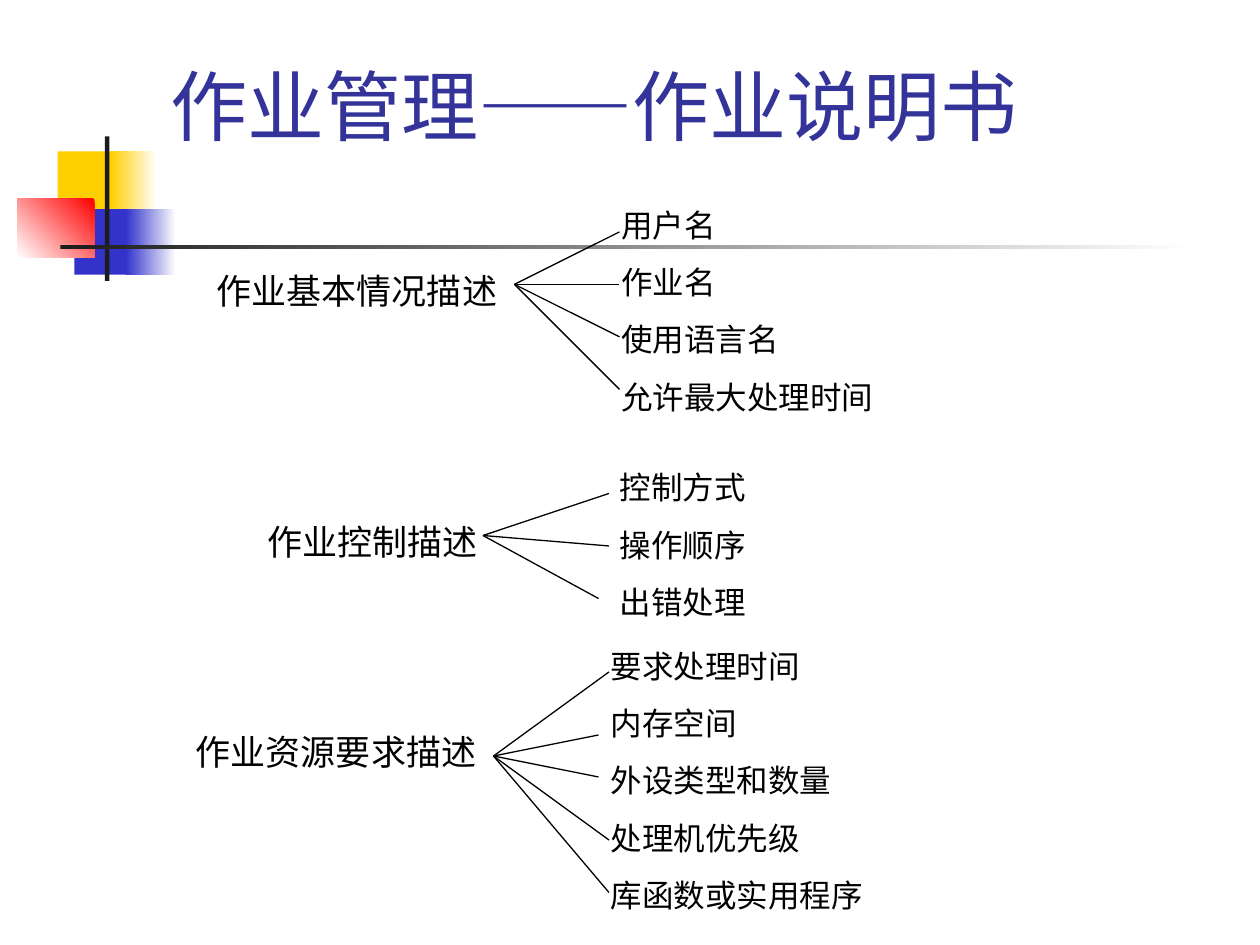
from lxml.etree import SubElement
from pptx import Presentation
from pptx.dml.color import RGBColor
from pptx.enum.shapes import MSO_CONNECTOR, MSO_SHAPE
from pptx.enum.text import MSO_ANCHOR, MSO_AUTO_SIZE, PP_ALIGN
from pptx.oxml.ns import qn
from pptx.util import Pt

BLACK = RGBColor(0x00, 0x00, 0x00)
WHITE = RGBColor(0xFF, 0xFF, 0xFF)
YELLOW = RGBColor(0xFF, 0xCF, 0x01)
BLUE = RGBColor(0x33, 0x33, 0xCC)
RED = RGBColor(0xFF, 0x00, 0x00)
CHARCOAL = RGBColor(0x1C, 0x1C, 0x1C)
TITLE_BLUE = RGBColor(0x33, 0x33, 0x99)

FONT = "Lato"
LABEL_HEIGHT = 31.5

# Box, colour, and the counter-clockwise angle of a fade to white (None: solid)
DECORATIONS = [
    ((33, 86.5, 34.5, 37.5), YELLOW, None),
    ((63.5, 86.5, 26, 37.5), YELLOW, 0),
    ((42.5, 119.5, 33, 37.5), BLUE, None),
    ((72, 119.5, 28.5, 37.5), BLUE, 0),
    ((10, 113.5, 44, 33.5), RED, 225),
    ((60, 78, 2.5, 82.5), CHARCOAL, None),
    ((34.5, 140, 648, 2.5), CHARCOAL, 0),
]

BRANCHES = [
    {
        "label": "作业基本情况描述",
        "label_box": (114, 150.5, 180, LABEL_HEIGHT),
        "items": ["用户名", "作业名", "使用语言名", "允许最大处理时间"],
        "items_box": (348, 114, 174, 127.5),
        "items_alignment": PP_ALIGN.LEFT,
        "apex": (294, 162.5),
        "ends": [(354, 132.5 + 30 * row) for row in range(4)],
    },
    {
        "label": "作业控制描述",
        "label_box": (132, 294, 162, LABEL_HEIGHT),
        "items": ["控制方式", "操作顺序", "出错处理"],
        "items_box": (324, 264, 132, 95),
        "items_alignment": PP_ALIGN.CENTER,
        "apex": (276, 306),
        "ends": [(348, 282), (348, 312), (342, 342)],
    },
    {
        "label": "作业资源要求描述",
        "label_box": (96, 414, 192, LABEL_HEIGHT),
        "items": ["要求处理时间", "内存空间", "外设类型和数量", "处理机优先级", "库函数或实用程序"],
        "items_box": (342, 366, 198, 160.5),
        "items_alignment": PP_ALIGN.LEFT,
        "apex": (282, 432),
        "ends": [(348, 384), (342, 420), (342, 444), (348, 480), (348, 510)],
    },
]


def points(values):
    return [Pt(value) for value in values]


def apply_format(target, values):
    for name, value in values.items():
        setattr(target, name, value)


def format_paragraph(paragraph, text, size, color, **values):
    paragraph.text = text
    apply_format(paragraph, values)
    font = paragraph.runs[0].font
    apply_format(font, {"name": FONT, "size": Pt(size)})
    font.color.rgb = color


def set_title(slide, text):
    title = slide.shapes.title
    left, top, width, height = points((90, 0, 613.5, 90))
    apply_format(title, {"left": left, "top": top, "width": width, "height": height})
    apply_format(title.text_frame, {
        "vertical_anchor": MSO_ANCHOR.BOTTOM,
        "auto_size": MSO_AUTO_SIZE.NONE,
        "word_wrap": True,
    })
    format_paragraph(title.text_frame.paragraphs[0], text, 44, TITLE_BLUE,
                     alignment=PP_ALIGN.LEFT)


def add_decoration(slide, box, color, fade_angle):
    shape = slide.shapes.add_shape(MSO_SHAPE.RECTANGLE, *points(box))
    shape.shadow.inherit = False
    shape.line.fill.background()
    if fade_angle is None:
        shape.fill.solid()
        shape.fill.fore_color.rgb = color
        return
    shape.fill.gradient()
    shape.fill.gradient_angle = fade_angle
    for stop, stop_color in zip(shape.fill.gradient_stops, (color, WHITE)):
        stop.color.rgb = stop_color


def add_text(group, box, lines, size, space_before, alignment):
    frame = group.shapes.add_textbox(*points(box)).text_frame
    apply_format(frame, {"word_wrap": True, "auto_size": MSO_AUTO_SIZE.SHAPE_TO_FIT_TEXT})
    for index, line in enumerate(lines):
        paragraph = frame.add_paragraph() if index else frame.paragraphs[0]
        format_paragraph(paragraph, line, size, BLACK,
                         alignment=alignment, space_before=Pt(space_before))


def add_line(group, start, end):
    connector = group.shapes.add_connector(MSO_CONNECTOR.STRAIGHT, *points(start + end))
    connector.line.color.rgb = BLACK
    connector.line.width = Pt(0.75)
    SubElement(connector._element.spPr, qn("a:effectLst"))


def add_branch(slide, branch):
    """Group a label, its list of items and the lines fanning out between them."""
    group = slide.shapes.add_group_shape()
    add_text(group, branch["label_box"], [branch["label"]], 20, 12.5, PP_ALIGN.CENTER)
    add_text(group, branch["items_box"], branch["items"], 18, 11.2,
             branch["items_alignment"])
    for end in branch["ends"]:
        add_line(group, branch["apex"], end)


def main():
    presentation = Presentation()
    presentation.slide_width = Pt(720)
    presentation.slide_height = Pt(540)
    slide = presentation.slides.add_slide(presentation.slide_layouts[5])
    for box, color, fade_angle in DECORATIONS:
        add_decoration(slide, box, color, fade_angle)
    set_title(slide, "作业管理——作业说明书")
    for branch in BRANCHES:
        add_branch(slide, branch)
    presentation.save("out.pptx")


if __name__ == "__main__":
    main()
